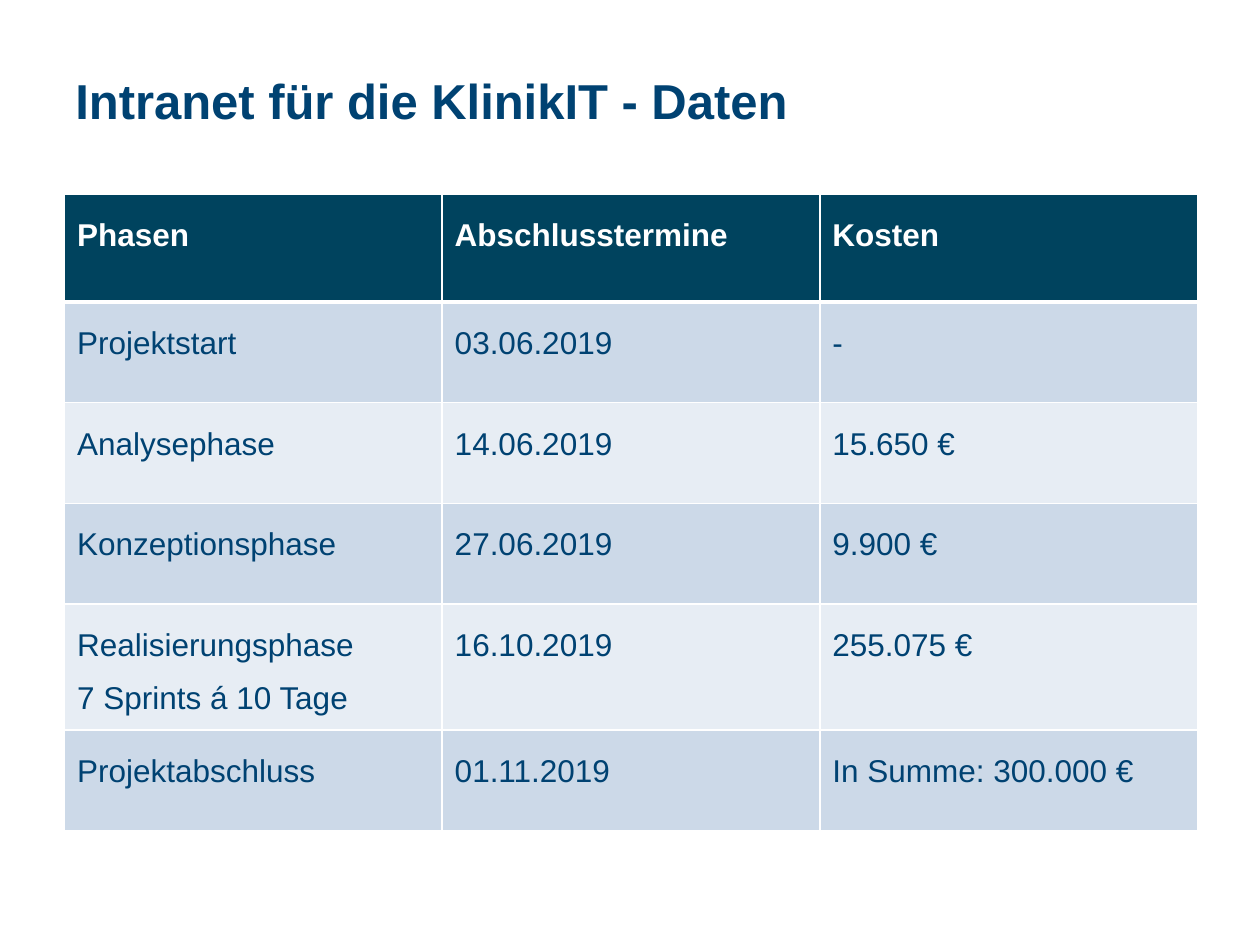
from typing import NamedTuple

from lxml import etree
from pptx import Presentation
from pptx.dml.color import RGBColor
from pptx.enum.text import MSO_ANCHOR
from pptx.oxml.ns import qn
from pptx.util import Cm, Pt

TOP = MSO_ANCHOR.TOP
FONT = "Arial"
HUES = {
    "title": "004272",
    "head": "00435E",
    "dark": "CCD9E8",
    "light": "E7EDF4",
    "white": "FFFFFF",
}


class Phase(NamedTuple):
    name: str
    date: str
    cost: str
    high: float = 2.03


HEAD = Phase("Phasen", "Abschlusstermine", "Kosten", 2.18)
PHASES = [
    Phase("Projektstart", "03.06.2019", "-"),
    Phase("Analysephase", "14.06.2019", "15.650 €"),
    Phase("Konzeptionsphase", "27.06.2019", "9.900 €"),
    Phase("Realisierungsphase \v7 Sprints á 10 Tage", "16.10.2019", "255.075 €", 2.39),
    Phase("Projektabschluss", "01.11.2019", "In Summe: 300.000 €"),
]


def color(key: str) -> RGBColor:
    return RGBColor.from_string(HUES[key])


def style(frame, size: int, hue: str, bold: bool) -> None:
    for para in frame.paragraphs:
        for run in para.runs:
            run.font.name = FONT
            run.font.size = Pt(size)
            run.font.bold = bold
            run.font.color.rgb = color(hue)


def border(cell, sides: dict[str, int]) -> None:
    props = cell._tc.get_or_add_tcPr()
    for spot, (side, width) in enumerate(sides.items()):
        line = etree.Element(qn(f"a:ln{side}"), w=str(Pt(width)))
        fill = etree.SubElement(line, qn("a:solidFill"))
        etree.SubElement(fill, qn("a:srgbClr"), val=HUES["white"])
        props.insert(spot, line)


def title(slide, text: str) -> None:
    box = slide.shapes.add_textbox(Cm(1.27), Cm(1.19), Cm(22.84), Cm(1.9))
    frame = box.text_frame
    frame.word_wrap = True
    frame.vertical_anchor = TOP
    frame.margin_top = Cm(0.23)
    frame.text = text
    style(frame, 28, "title", True)


def table(slide, rows: list[Phase]) -> None:
    high = sum(row.high for row in rows)
    grid = slide.shapes.add_table(
        len(rows), 3, Cm(1.3), Cm(3.91), Cm(22.84), Cm(high)
    ).table
    for i, row in enumerate(rows):
        grid.rows[i].height = Cm(row.high)
        head = i == 0
        fill = "head" if head else ("light", "dark")[i % 2]
        sides = {"L": 1, "R": 1, "T": 3 if i == 1 else 1, "B": 3 if head else 1}
        for j, text in enumerate((row.name, row.date, row.cost)):
            cell = grid.cell(i, j)
            cell.fill.solid()
            cell.fill.fore_color.rgb = color(fill)
            cell.vertical_anchor = TOP
            frame = cell.text_frame
            frame.paragraphs[0].text = text
            frame.paragraphs[0].line_spacing = 1.5
            style(frame, 18, "white" if head else "title", head)
            border(cell, sides)


def main() -> None:
    deck = Presentation()
    deck.slide_width = Cm(25.4)
    deck.slide_height = Cm(19.05)
    slide = deck.slides.add_slide(deck.slide_layouts[6])
    title(slide, "Intranet für die KlinikIT - Daten")
    table(slide, [HEAD, *PHASES])
    deck.save("out.pptx")


if __name__ == "__main__":
    main()
